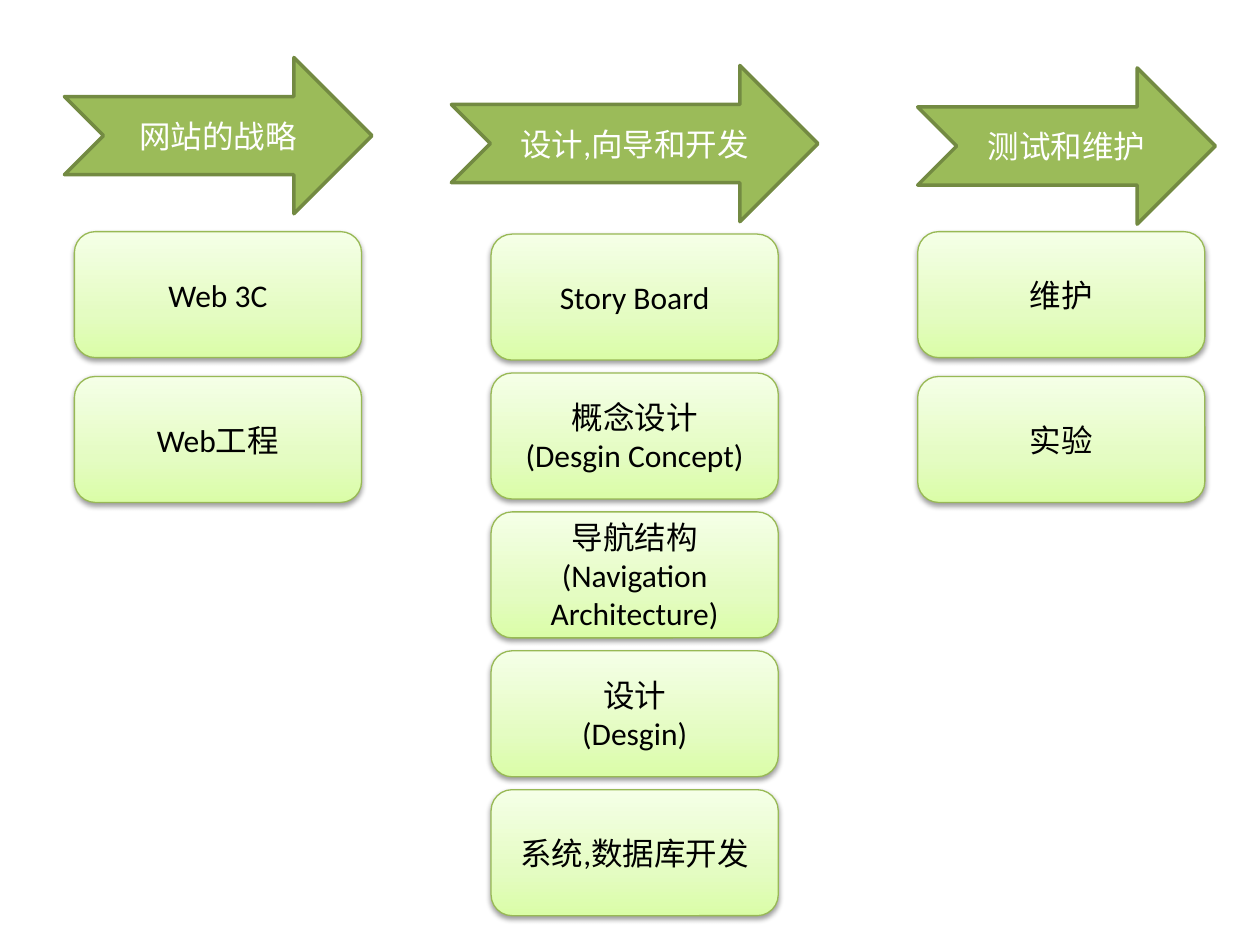
"""Build a slide of three website project phases, each an arrow above its steps."""
import copy
from dataclasses import dataclass

import lxml.etree
import pptx
import pptx.dml.color
import pptx.enum.shapes
import pptx.enum.text
import pptx.oxml.ns
import pptx.util

Cm = pptx.util.Cm
Pt = pptx.util.Pt
SHAPES = pptx.enum.shapes.MSO_SHAPE
qn = pptx.oxml.ns.qn

COLORS = {
    "arrow": "9BBB59",
    "arrow_line": "738A42",
    "step_line": "98B955",
    "step_bottom": "DAFDA7",
    "step_middle": "E4FCC2",
    "step_top": "F5FFE7",
    "light_text": "FFFFFF",
    "dark_text": "000000",
}
STEP_GRADIENT = [(0, "step_bottom"), (0.35, "step_middle"), (1, "step_top")]
FONT = "Calibri"
ARROW_HEIGHT = 3.15
STEP_WIDTH = 5.79
STEP_HEIGHT = 2.54


@dataclass
class Phase:
    title: str
    arrow_left: float
    arrow_top: float
    arrow_width: float
    step_left: float
    step_top: float
    step_pitch: float
    steps: list[str]


PHASES = [
    Phase("网站的战略", 1.3, 1.16, 6.2, 1.5, 4.67, 2.92, ["Web 3C", "Web工程"]),
    Phase("设计,向导和开发", 9.1, 1.32, 7.39, 9.9, 4.72, 2.8,
          ["Story Board", "概念设计\n(Desgin Concept)",
           "导航结构\n(Navigation Architecture)", "设计\n(Desgin)",
           "系统,数据库开发"]),
    Phase("测试和维护", 18.5, 1.37, 6, 18.5, 4.67, 2.92, ["维护", "实验"]),
]


def rgb(name: str) -> pptx.dml.color.RGBColor:
    return pptx.dml.color.RGBColor.from_string(COLORS[name])


def write_text(shape, text: str, *, color: str, size: float = 18) -> None:
    frame = shape.text_frame
    frame.word_wrap = True
    frame.vertical_anchor = pptx.enum.text.MSO_ANCHOR.MIDDLE
    frame.text = text
    for paragraph in frame.paragraphs:
        paragraph.alignment = pptx.enum.text.PP_ALIGN.CENTER
        for run in paragraph.runs:
            run.font.name = FONT
            run.font.size = Pt(size)
            run.font.color.rgb = rgb(color)


def add_box(slide, kind, left: float, top: float, width: float, height: float,
            *, line: str, line_width: float):
    shape = slide.shapes.add_shape(kind, Cm(left), Cm(top), Cm(width), Cm(height))
    shape.shadow.inherit = False
    shape.line.color.rgb = rgb(line)
    shape.line.width = Pt(line_width)
    return shape


def fill_gradient(shape) -> None:
    shape.fill.gradient()
    shape.fill.gradient_angle = 90
    stop_list = shape._element.spPr.find(".//" + qn("a:gsLst"))
    stop_list.append(copy.deepcopy(stop_list[-1]))
    for stop, (position, color) in zip(shape.fill.gradient_stops, STEP_GRADIENT):
        stop.position = position
        stop.color.rgb = rgb(color)


def add_shadow(shape) -> None:
    effects = shape._element.spPr.find(qn("a:effectLst"))
    shadow = lxml.etree.SubElement(
        effects, qn("a:outerShdw"), blurRad=str(Pt(3.15)), dist=str(Pt(1.57)),
        dir="5400000", rotWithShape="0")
    color = lxml.etree.SubElement(shadow, qn("a:srgbClr"), val=COLORS["dark_text"])
    lxml.etree.SubElement(color, qn("a:alpha"), val="38000")


def add_arrow(slide, phase: Phase) -> None:
    arrow = add_box(slide, SHAPES.NOTCHED_RIGHT_ARROW, phase.arrow_left,
                    phase.arrow_top, phase.arrow_width, ARROW_HEIGHT,
                    line="arrow_line", line_width=2)
    arrow.fill.solid()
    arrow.fill.fore_color.rgb = rgb("arrow")
    write_text(arrow, phase.title, color="light_text")


def add_steps(slide, phase: Phase) -> None:
    for index, text in enumerate(phase.steps):
        step = add_box(slide, SHAPES.ROUNDED_RECTANGLE, phase.step_left,
                       phase.step_top + index * phase.step_pitch,
                       STEP_WIDTH, STEP_HEIGHT,
                       line="step_line", line_width=0.75)
        fill_gradient(step)
        add_shadow(step)
        write_text(step, text, color="dark_text")


def main() -> None:
    presentation = pptx.Presentation()
    presentation.slide_width = Cm(25.4)
    presentation.slide_height = Cm(19.05)
    slide = presentation.slides.add_slide(presentation.slide_layouts[6])
    for phase in PHASES:
        add_arrow(slide, phase)
        add_steps(slide, phase)
    presentation.save("out.pptx")


main()
